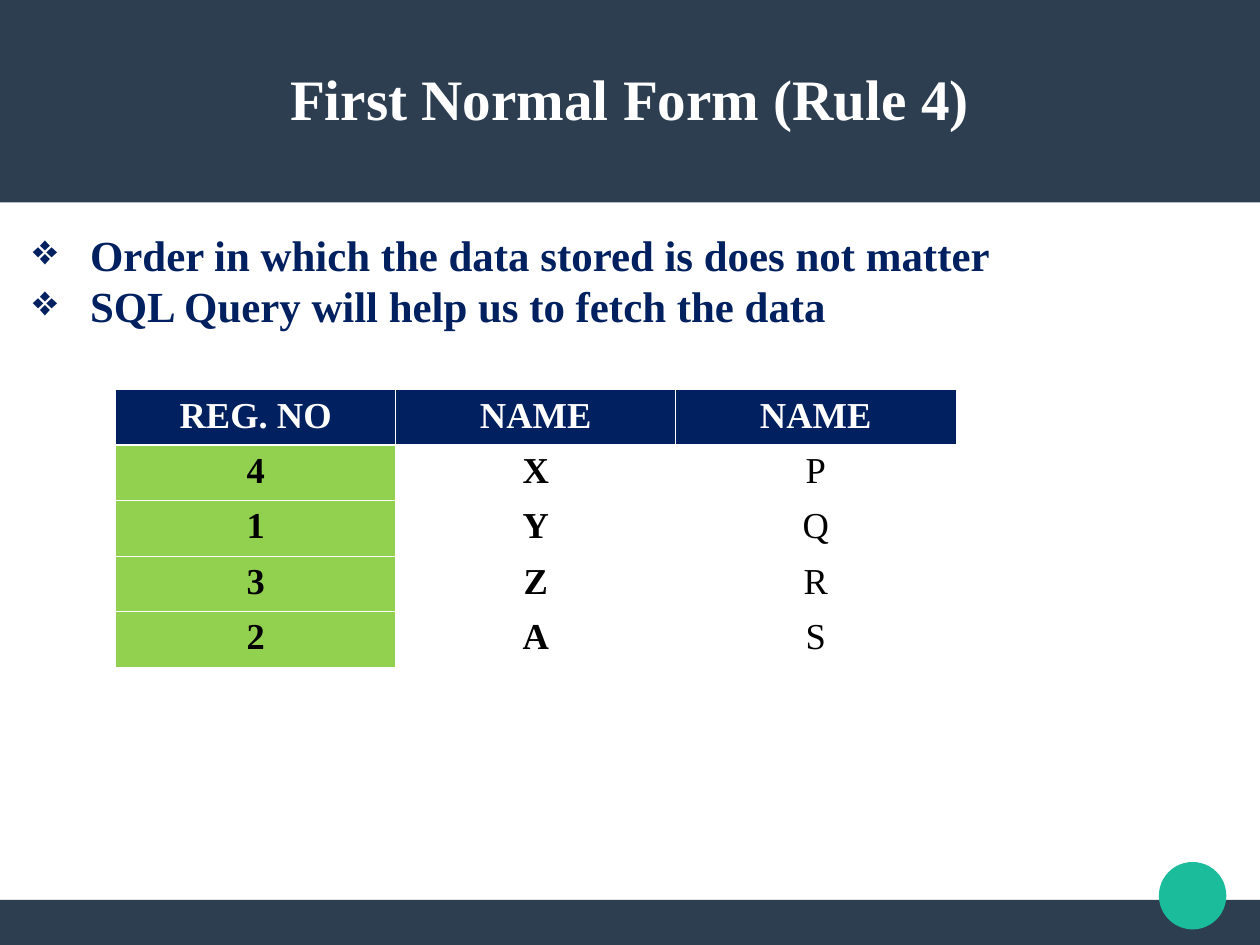
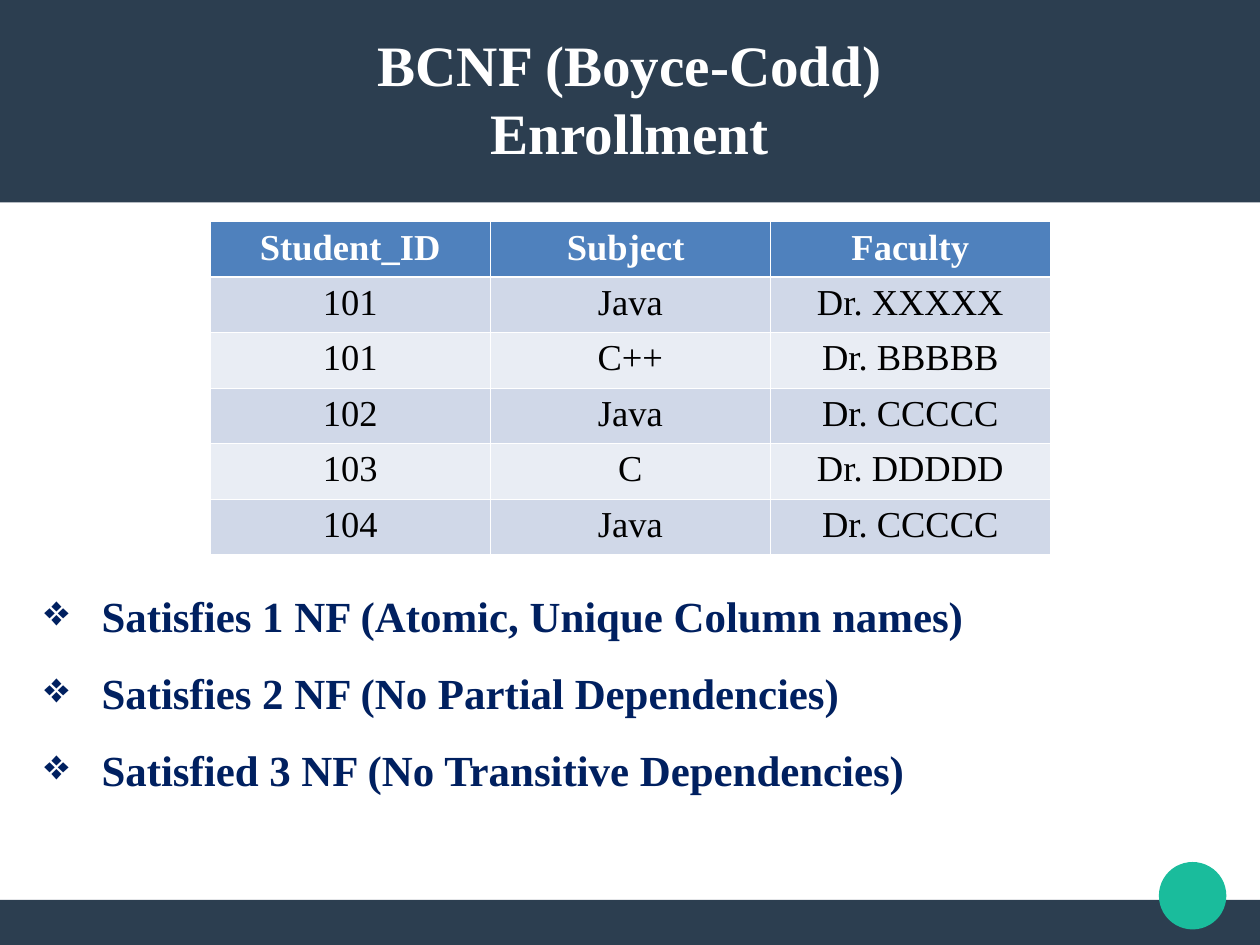
from lxml.etree import SubElement
from pptx import Presentation
from pptx.dml.color import RGBColor
from pptx.enum.shapes import MSO_SHAPE
from pptx.enum.text import MSO_ANCHOR, MSO_AUTO_SIZE, PP_ALIGN
from pptx.oxml.ns import qn
from pptx.util import Pt

WIDTH, HEIGHT = 793.7, 595.3
MARGIN_X, MARGIN_Y = 7.2, 3.6


def color(value):
    return RGBColor.from_string(value)


class Deck:
    """Holds the shared style and the slide being built."""

    FONT = "Times New Roman"
    BAND, ACCENT, NAVY = "2C3E50", "1ABC9C", "002060"
    WHITE, BLACK = "FFFFFF", "000000"
    TITLE_SIZE, BULLET_SIZE, CELL_SIZE = 36, 27, 23
    HEADER_HEIGHT, FOOTER_HEIGHT, DOT = 127.5, 28.35, 42.5
    COLUMN_WIDTH, ROW_HEIGHT = 176.4, 34.95
    THIN, THICK = 0.45, 1.47

    def __init__(self):
        self.presentation = Presentation()
        self.presentation.slide_width = Pt(WIDTH)
        self.presentation.slide_height = Pt(HEIGHT)
        self.slide = None

    def new_slide(self, *title_lines):
        blank = self.presentation.slide_layouts[6]
        self.slide = self.presentation.slides.add_slide(blank)
        # Bands and accent dot
        footer_top = HEIGHT - self.FOOTER_HEIGHT
        self.shape(MSO_SHAPE.RECTANGLE, 0, footer_top, WIDTH,
                   self.FOOTER_HEIGHT, self.BAND)
        self.shape(MSO_SHAPE.RECTANGLE, 0, 0, WIDTH,
                   self.HEADER_HEIGHT, self.BAND)
        self.shape(MSO_SHAPE.OVAL, 730, 543, self.DOT, self.DOT, self.ACCENT)
        self.title(title_lines)

    def shape(self, kind, left, top, width, height, fill):
        shape = self.slide.shapes.add_shape(
            kind, Pt(left), Pt(top), Pt(width), Pt(height))
        shape.shadow.inherit = False
        shape.fill.solid()
        shape.fill.fore_color.rgb = color(fill)
        shape.line.fill.background()

    def run(self, paragraph, text, size, text_color, bold=True):
        run = paragraph.add_run()
        run.text = text
        run.font.name = self.FONT
        run.font.size = Pt(size)
        run.font.bold = bold
        run.font.color.rgb = color(text_color)

    def text_box(self, left, top, width, height, margins):
        box = self.slide.shapes.add_textbox(
            Pt(left), Pt(top), Pt(width), Pt(height))
        frame = box.text_frame
        frame.word_wrap = True
        frame.margin_left = frame.margin_right = Pt(margins[0])
        frame.margin_top = frame.margin_bottom = Pt(margins[1])
        return frame

    def paragraphs(self, frame, lines, size, text_color, alignment):
        for index, line in enumerate(lines):
            paragraph = frame.add_paragraph() if index else frame.paragraphs[0]
            paragraph.alignment = alignment
            self.run(paragraph, line, size, text_color)
            yield paragraph

    def title(self, lines):
        frame = self.text_box(28.35, 23.75, 736.6, 75.6, (0, 0))
        frame.vertical_anchor = MSO_ANCHOR.MIDDLE
        list(self.paragraphs(frame, lines, self.TITLE_SIZE, self.WHITE,
                             PP_ALIGN.CENTER))

    def bullets(self, left, top, height, lines, line_spacing=1.0):
        frame = self.text_box(left, top, 751.7, height, (MARGIN_X, MARGIN_Y))
        frame.auto_size = MSO_AUTO_SIZE.SHAPE_TO_FIT_TEXT
        for paragraph in self.paragraphs(frame, lines, self.BULLET_SIZE,
                                         self.NAVY, PP_ALIGN.JUSTIFY):
            paragraph.line_spacing = line_spacing
            properties = paragraph._p.get_or_add_pPr()
            properties.set("marL", str(Pt(36)))
            properties.set("indent", str(-Pt(36)))
            bullet_color = SubElement(properties, qn("a:buClr"))
            SubElement(bullet_color, qn("a:srgbClr"), val=self.NAVY)
            SubElement(properties, qn("a:buChar"), char="❖")

    def borders(self, cell, row):
        top = self.THICK if row == 1 else self.THIN
        bottom = self.THICK if row == 0 else self.THIN
        properties = cell._tc.get_or_add_tcPr()
        for side, width in zip("LRTB", (self.THIN, self.THIN, top, bottom)):
            line = SubElement(properties, qn(f"a:ln{side}"), w=str(Pt(width)))
            fill = SubElement(line, qn("a:solidFill"))
            SubElement(fill, qn("a:srgbClr"), val=self.WHITE)

    def table(self, left, top, rows, header_fill, body_fill, bold_columns=()):
        """body_fill(row, column) gives a colour, or None for no fill."""
        columns = len(rows[0])
        table = self.slide.shapes.add_table(
            len(rows), columns, Pt(left), Pt(top),
            Pt(columns * self.COLUMN_WIDTH),
            Pt(len(rows) * self.ROW_HEIGHT)).table
        table.first_row = table.horz_banding = False
        for table_column in table.columns:
            table_column.width = Pt(self.COLUMN_WIDTH)
        for row, values in enumerate(rows):
            table.rows[row].height = Pt(self.ROW_HEIGHT)
            for column, text in enumerate(values):
                header = row == 0
                cell = table.cell(row, column)
                cell.margin_left = cell.margin_right = Pt(MARGIN_X)
                cell.margin_top = cell.margin_bottom = Pt(MARGIN_Y)
                self.borders(cell, row)
                fill = header_fill if header else body_fill(row, column)
                if fill:
                    cell.fill.solid()
                    cell.fill.fore_color.rgb = color(fill)
                else:
                    cell.fill.background()
                paragraph = cell.text_frame.paragraphs[0]
                paragraph.alignment = PP_ALIGN.CENTER
                self.run(paragraph, text, self.CELL_SIZE,
                         self.WHITE if header else self.BLACK,
                         header or column in bold_columns)


def main():
    deck = Deck()

    # First normal form: row order
    deck.new_slide("First Normal Form (Rule 4)")
    deck.bullets(13.7, 140.4, 72, [
        "Order in which the data stored is does not matter",
        "SQL Query will help us to fetch the data",
    ])
    deck.table(72.9, 245.5, [
        ("REG. NO", "NAME", "NAME"),
        ("4", "X", "P"),
        ("1", "Y", "Q"),
        ("3", "Z", "R"),
        ("2", "A", "S"),
    ], deck.NAVY, lambda row, column: None if column else "92D050", (0, 1))

    # BCNF: enrollment table
    deck.new_slide("BCNF (Boyce-Codd)", "Enrollment")
    deck.bullets(20.9, 351.4, 153.4, [
        "Satisfies 1 NF (Atomic, Unique Column names)",
        "Satisfies 2 NF (No Partial Dependencies)",
        "Satisfied 3 NF (No Transitive Dependencies)",
    ], line_spacing=1.5)
    deck.table(132.5, 139.7, [
        ("Student_ID", "Subject ", "Faculty"),
        ("101", "Java", "Dr. XXXXX"),
        ("101", "C++", "Dr. BBBBB"),
        ("102", "Java", "Dr. CCCCC"),
        ("103", "C", "Dr. DDDDD"),
        ("104", "Java", "Dr. CCCCC"),
    ], "4F81BD", lambda row, column: "D0D8E8" if row % 2 else "E9EDF4")

    deck.presentation.save("out.pptx")


if __name__ == "__main__":
    main()
